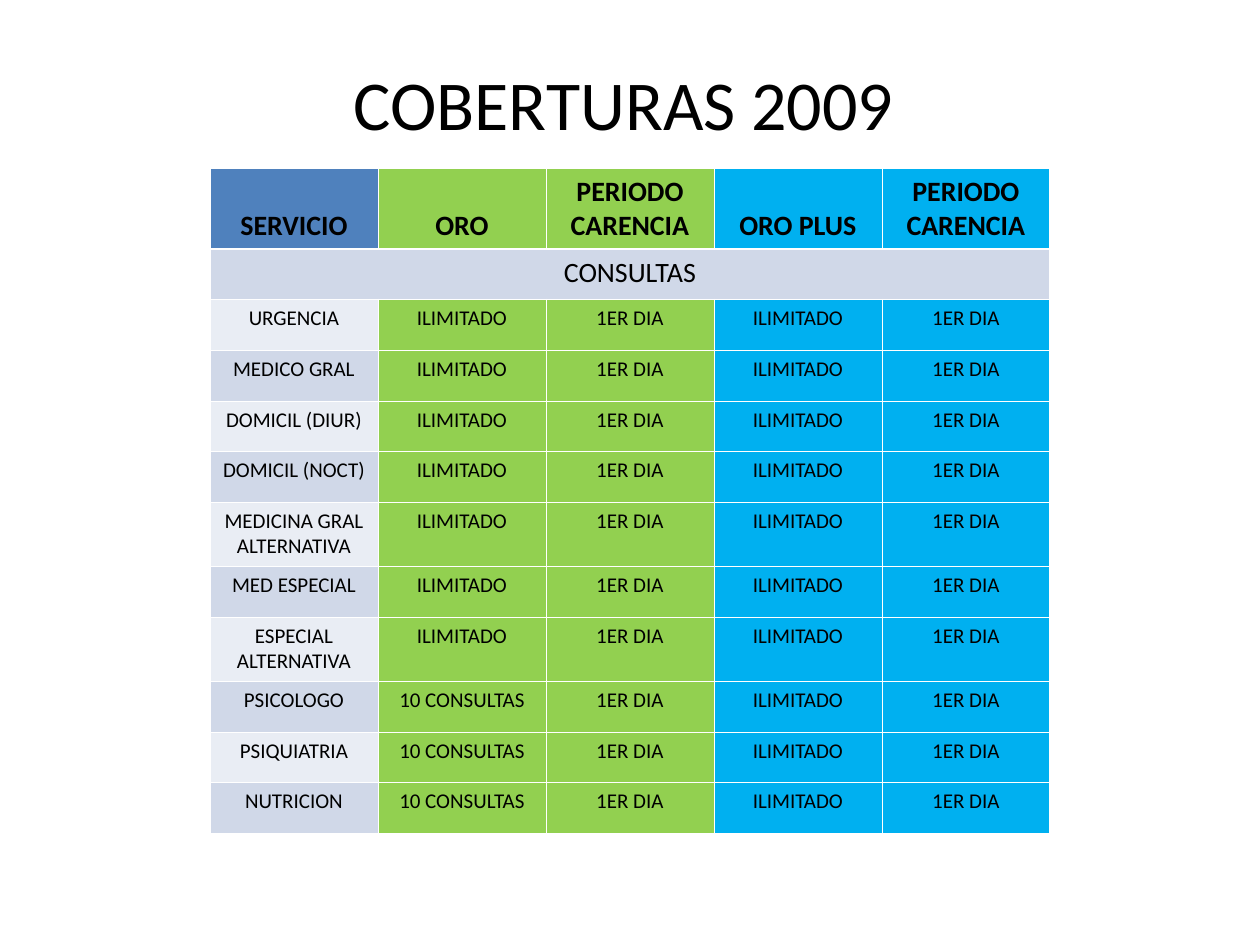
from dataclasses import dataclass
from itertools import pairwise

from lxml import etree
from pptx import Presentation
from pptx import util as u
from pptx.dml.color import RGBColor
from pptx.enum import text
from pptx.oxml.ns import qn


@dataclass(frozen=True)
class Theme:
    font: str = "Calibri"
    ink: str = "000000"
    rule: str = "FFFFFF"
    head: str = "4F81BD"
    gold: str = "92D050"
    plus: str = "00B0F0"
    dark: str = "D0D8E8"
    light: str = "E9EDF4"
    title: int = 40
    large: int = 16
    small: int = 12
    thin: float = 0.45
    thick: float = 1.47


def px(n):
    return u.Emu(round(n * 914400 / 126))


class Deck:
    def __init__(self, theme):
        self.theme = theme
        self.prs = Presentation()
        self.prs.slide_width, self.prs.slide_height = px(1260), px(945)
        self.slide = self.prs.slides.add_slide(self.prs.slide_layouts[5])

    def label(self, frame, words, size, bold=False):
        frame.text = words
        par = frame.paragraphs[0]
        par.alignment = text.PP_ALIGN.CENTER
        for run in par.runs:
            font = run.font
            font.name, font.size, font.bold = self.theme.font, u.Pt(size), bold
            font.color.rgb = RGBColor.from_string(self.theme.ink)

    def title(self, words, left, top, width, height):
        box = self.slide.shapes.title
        box.left, box.top = px(left), px(top)
        box.width, box.height = px(width), px(height)
        box.text_frame.vertical_anchor = text.MSO_ANCHOR.MIDDLE
        self.label(box.text_frame, words, self.theme.title)

    def border(self, cell, sides):
        """Draw cell borders; sides maps L, R, T and B, in that order, to points."""
        props = cell._tc.get_or_add_tcPr()
        for side, width in sides.items():
            line = etree.SubElement(props, qn(f"a:ln{side}"), w=str(u.Pt(width)))
            fill = etree.SubElement(line, qn("a:solidFill"))
            etree.SubElement(fill, qn("a:srgbClr"), val=self.theme.rule)

    def cell(self, cell, words, fill, size, bold, top, bottom):
        self.label(cell.text_frame, words, size, bold)
        thin = self.theme.thin
        self.border(cell, {"L": thin, "R": thin, "T": top, "B": bottom})
        cell.fill.solid()
        cell.fill.fore_color.rgb = RGBColor.from_string(fill)

    def table(self, rows, left, edges, width):
        """Add a table with a heading row, a full-width section row and a body."""
        th = self.theme
        count = len(rows[0])
        shape = self.slide.shapes.add_table(
            len(rows), count, px(left), px(edges[0]),
            px(width * count), px(edges[-1] - edges[0]))
        grid = shape.table
        grid.horz_banding = False
        for col in grid.columns:
            col.width = px(width)
        for row, (top, bottom) in zip(grid.rows, pairwise(edges)):
            row.height = px(bottom - top)

        plans = [th.gold, th.gold, th.plus, th.plus]
        for r, row in enumerate(rows):
            band = th.dark if r % 2 else th.light
            if r == 0:
                fills = [th.head] + plans
            elif r == 1:
                fills = [band] * count
            else:
                fills = [band] + plans
            size = th.large if r < 2 else th.small
            top = th.thick if r == 1 else th.thin
            bottom = th.thick if r == 0 else th.thin
            for c, (words, fill) in enumerate(zip(row, fills)):
                self.cell(grid.cell(r, c), words, fill, size, r == 0, top, bottom)

        for c in range(count):
            grid.cell(0, c).vertical_anchor = text.MSO_ANCHOR.BOTTOM
        grid.cell(1, 0).merge(grid.cell(1, count - 1))


HEAD = ["SERVICIO", "ORO", "PERIODO CARENCIA", "ORO PLUS", "PERIODO CARENCIA"]
SECTION = ["CONSULTAS", "", "", "", ""]
OPEN = "ILIMITADO"
LIMIT = "10 CONSULTAS"
WAIT = "1ER DIA"
CARE = {
    "URGENCIA": OPEN,
    "MEDICO GRAL": OPEN,
    "DOMICIL (DIUR)": OPEN,
    "DOMICIL (NOCT)": OPEN,
    "MEDICINA GRAL ALTERNATIVA": OPEN,
    "MED ESPECIAL": OPEN,
    "ESPECIAL ALTERNATIVA": OPEN,
    "PSICOLOGO": LIMIT,
    "PSIQUIATRIA": LIMIT,
    "NUTRICION": LIMIT,
}
EDGES = [168, 249, 299, 350, 401, 451, 502, 566, 617, 681, 732, 782, 833]


def main():
    deck = Deck(Theme())
    deck.title("COBERTURAS 2009", 88, 59, 1071, 88)
    body = [[name, gold, WAIT, OPEN, WAIT] for name, gold in CARE.items()]
    deck.table([HEAD, SECTION] + body, 210, EDGES, 168)
    deck.prs.save("out.pptx")


if __name__ == "__main__":
    main()
